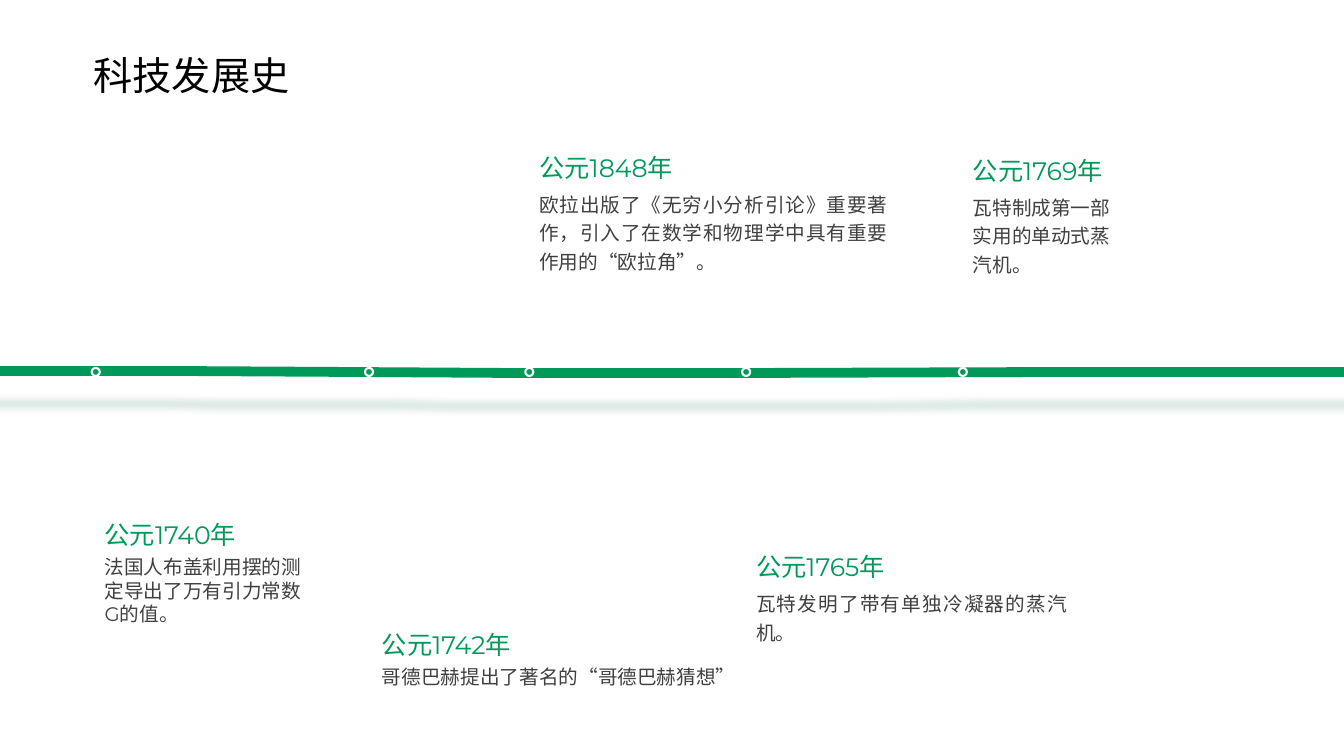
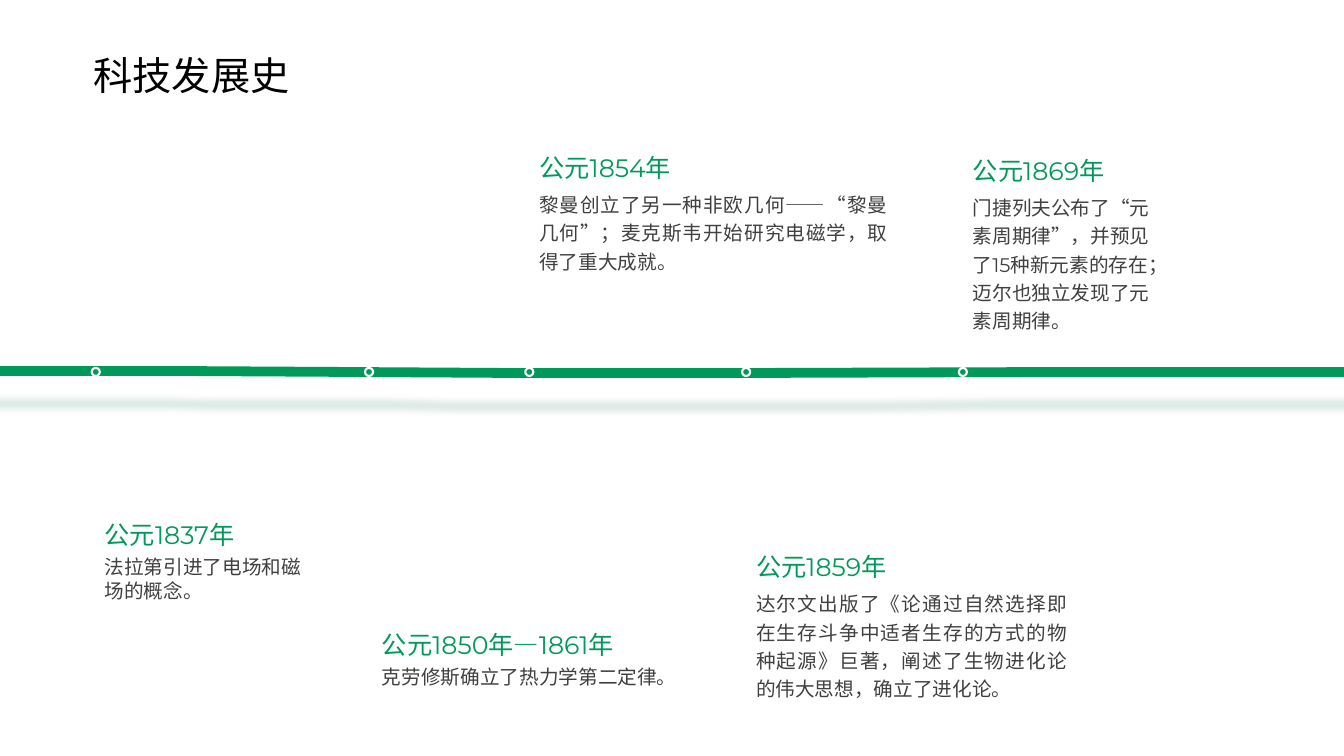
import pptx
import pptx.util
import pptx.dml.color
import pptx.enum.shapes
import pptx.enum.text
import pptx.oxml
import pptx.oxml.ns
import lxml.etree

Inches = pptx.util.Inches
Pt = pptx.util.Pt
qn = pptx.oxml.ns.qn
ALIGN = pptx.enum.text.PP_ALIGN

COLORS = {"green": "00995A", "text": "404040", "title": "000000",
          "white": "FFFFFF", "shade": "016145"}
LATIN = "Montserrat"
HAN = "Noto Sans CJK SC"
TITLE = "科技发展史"

AXIS = [(-1.95, 3.68), (1.68, 3.68), (3.4, 3.69), (5.06, 3.7),
        (7.5, 3.7), (10.67, 3.69), (15.28, 3.69)]
DOTS = [0.95, 3.66, 5.25, 7.4, 9.55]
DOT_Y = 3.69
DOT_SIZE = 0.08

SLOTS = [
    dict(left=0.94, top=5.1, wide=2.16),
    dict(left=3.69, top=6.19, wide=4.12),
    dict(left=5.25, top=1.46, wide=3.65, space=1.2, align=ALIGN.JUSTIFY),
    dict(left=7.4, top=5.42, wide=3.28, space=1.2, align=ALIGN.JUSTIFY),
    dict(left=9.55, top=1.49, wide=2.14, space=1.2),
]

PAGES = [
    [
        dict(year="公元1740年", body="法国人布盖利用摆的测定导出了万有引力常数G的值。", rows=3),
        dict(year="公元1742年", body="哥德巴赫提出了著名的“哥德巴赫猜想”", rows=1),
        dict(year="公元1848年", rows=3,
             body="欧拉出版了《无穷小分析引论》重要著作，引入了在数学和物理学中具有重要作用的“欧拉角”。"),
        dict(year="公元1765年", body="瓦特发明了带有单独冷凝器的蒸汽机。", rows=2),
        dict(year="公元1769年", body="瓦特制成第一部实用的单动式蒸汽机。", rows=3, wide=1.63),
    ],
    [
        dict(year="公元1837年", body="法拉第引进了电场和磁场的概念。", rows=2),
        dict(year="公元1850年—1861年", body="克劳修斯确立了热力学第二定律。", rows=1),
        dict(year="公元1854年", rows=3,
             body="黎曼创立了另一种非欧几何——“黎曼几何”；麦克斯韦开始研究电磁学，取得了重大成就。"),
        dict(year="公元1859年", rows=4,
             body="达尔文出版了《论通过自然选择即在生存斗争中适者生存的方式的物种起源》巨著，"
                  "阐述了生物进化论的伟大思想，确立了进化论。"),
        dict(year="公元1869年", rows=5,
             body="门捷列夫公布了“元素周期律”，并预见了15种新元素的存在；迈尔也独立发现了元素周期律。"),
    ],
]


def color(name):
    return pptx.dml.color.RGBColor.from_string(COLORS[name])


def add_text(slide, box, text, size, tint, face=LATIN, space=None, align=None):
    shape = slide.shapes.add_textbox(*map(Inches, box))
    frame = shape.text_frame
    frame.word_wrap = True
    frame.auto_size = pptx.enum.text.MSO_AUTO_SIZE.SHAPE_TO_FIT_TEXT
    para = frame.paragraphs[0]
    para.text = text
    para.alignment = align
    para.line_spacing = space
    para.font.size = Pt(size)
    para.font.color.rgb = color(tint)
    para.font.name = face
    props = para._p.pPr.find(qn("a:defRPr"))
    lxml.etree.SubElement(props, qn("a:ea")).set("typeface", HAN)


def add_shade(shape):
    shape._element.spPr.append(pptx.oxml.parse_xml(
        f'<a:effectLst {pptx.oxml.ns.nsdecls("a")}>'
        f'<a:outerShdw blurRad="{Pt(4)}" dist="{Pt(23)}" dir="5400000" algn="t" rotWithShape="0">'
        f'<a:srgbClr val="{COLORS["shade"]}"><a:alpha val="12000"/></a:srgbClr>'
        '</a:outerShdw></a:effectLst>'))


def add_axis(slide):
    points = [(Inches(x), Inches(y)) for x, y in AXIS]
    pen = slide.shapes.build_freeform(*points[0])
    pen.add_line_segments(points[1:], close=False)
    band = pen.convert_to_shape()
    band.fill.background()
    band.line.color.rgb = color("green")
    band.line.width = Pt(7)
    add_shade(band)


def add_dot(slide, x, y):
    half = DOT_SIZE / 2
    dot = slide.shapes.add_shape(
        pptx.enum.shapes.MSO_SHAPE.OVAL,
        Inches(x - half), Inches(y - half), Inches(DOT_SIZE), Inches(DOT_SIZE))
    dot.shadow.inherit = False
    dot.fill.solid()
    dot.fill.fore_color.rgb = color("green")
    dot.line.color.rgb = color("white")
    dot.line.width = Pt(1.5)


def add_event(slide, left, top, wide, year, body, rows, space=None, align=None):
    high = 0.1 + 0.235 * rows * (space or 1)
    add_text(slide, (left, top + 0.36, wide, high), body, 14, "text",
             space=space, align=align)
    add_text(slide, (left, top, 2.78, 0.4), year, 18, "green")


def add_page(deck, events):
    slide = deck.slides.add_slide(deck.slide_layouts[6])
    add_axis(slide)
    for slot, event in zip(SLOTS, events):
        add_event(slide, **{**slot, **event})
    for x in DOTS:
        add_dot(slide, x, DOT_Y)
    add_text(slide, (0.83, 0.46, 6.43, 0.57), TITLE, 28, "title", face=HAN)


def main():
    deck = pptx.Presentation()
    deck.slide_width = Inches(13.33)
    deck.slide_height = Inches(7.5)
    for events in PAGES:
        add_page(deck, events)
    deck.save("out.pptx")


if __name__ == "__main__":
    main()
